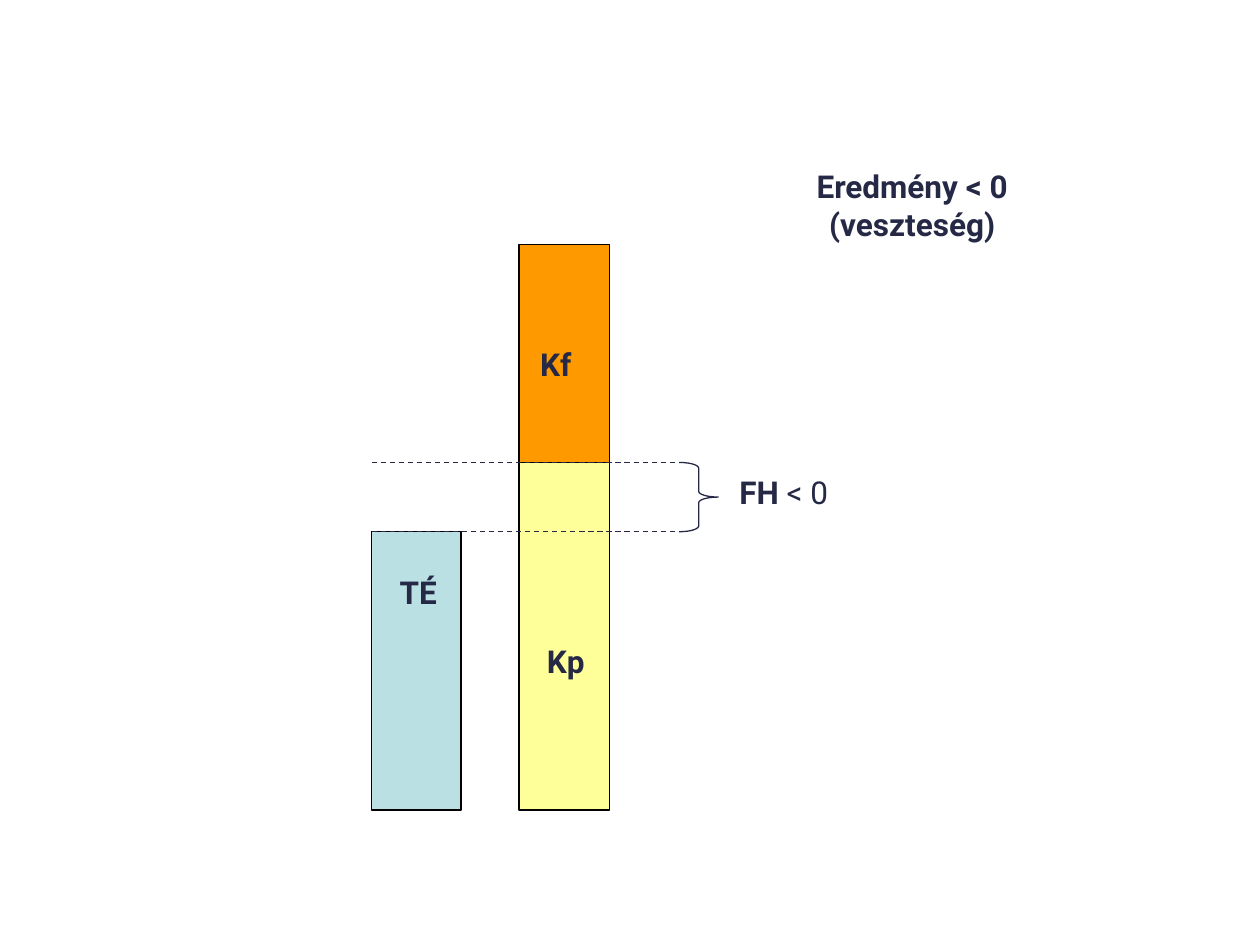
from dataclasses import dataclass

from lxml.etree import SubElement
from pptx import Presentation
from pptx.dml.color import RGBColor as Rgb
from pptx.enum.dml import MSO_LINE as Dash
from pptx.enum.shapes import MSO_CONNECTOR as Conn, MSO_SHAPE as Shape
from pptx.enum.text import MSO_ANCHOR as Anchor, PP_ALIGN as Align
from pptx.oxml.ns import qn
from pptx.util import Inches, Pt


@dataclass(frozen=True)
class Theme:
    font: str = "Roboto"
    size: float = 18
    line: float = 0.75
    ink: str = "252946"
    edge: str = "000000"
    sales: str = "BBE0E3"
    direct: str = "FFFF99"
    fixed: str = "FF9900"


THEME = Theme()

# Shared levels of the diagram, in inches
BASE = 6.43
COST_TOP, COST_MID, SALES_TOP = 1.94, 3.67, 4.22
SALES_X, COST_X, BRACE_X = 2.95, 4.12, 5.39
LABEL_W, LABEL_H = 1.18, 0.63


def set_line(line, color):
    line.color.rgb = Rgb.from_string(color)
    line.width = Pt(THEME.line)


def add_bar(slide, left, top, width, bottom, fill):
    bar = slide.shapes.add_shape(
        Shape.RECTANGLE, Inches(left), Inches(top),
        Inches(width), Inches(bottom - top))
    bar.shadow.inherit = False
    bar.fill.solid()
    bar.fill.fore_color.rgb = Rgb.from_string(fill)
    set_line(bar.line, THEME.edge)


def add_guide(slide, level):
    guide = slide.shapes.add_connector(
        Conn.STRAIGHT, Inches(SALES_X), Inches(level),
        Inches(BRACE_X), Inches(level))
    set_line(guide.line, THEME.ink)
    guide.line.dash_style = Dash.DASH
    SubElement(guide._element.spPr, qn("a:effectLst"))


def add_brace(slide, top, bottom):
    brace = slide.shapes.add_shape(
        Shape.RIGHT_BRACE, Inches(BRACE_X), Inches(top),
        Inches(0.31), Inches(bottom - top))
    brace.shadow.inherit = False
    brace.fill.background()
    set_line(brace.line, THEME.ink)
    brace.adjustments[0] = 0.146
    brace.adjustments[1] = 0.5


def add_label(slide, left, top, text, tail="", width=LABEL_W):
    """Add a centred bold label, with an optional plain tail."""
    box = slide.shapes.add_textbox(
        Inches(left), Inches(top), Inches(width), Inches(LABEL_H))
    frame = box.text_frame
    frame.text = text
    frame.word_wrap = False
    frame.vertical_anchor = Anchor.MIDDLE
    if tail:
        frame.paragraphs[-1].add_run().text = tail
    for para in frame.paragraphs:
        para.alignment = Align.CENTER
        for run in para.runs:
            run.font.name = THEME.font
            run.font.size = Pt(THEME.size)
            run.font.color.rgb = Rgb.from_string(THEME.ink)
            run.font.bold = run.text != tail


def main():
    deck = Presentation()
    deck.slide_width, deck.slide_height = Inches(10), Inches(7.5)
    slide = deck.slides.add_slide(deck.slide_layouts[6])

    # Sales bar beside the stacked cost bar
    add_bar(slide, SALES_X, SALES_TOP, 0.71, BASE, THEME.sales)
    add_bar(slide, COST_X, COST_MID, 0.72, BASE, THEME.direct)
    add_bar(slide, COST_X, COST_TOP, 0.72, COST_MID, THEME.fixed)

    # Gap between sales and direct cost
    for level in (COST_MID, SALES_TOP):
        add_guide(slide, level)
    add_brace(slide, COST_MID, SALES_TOP)

    # Labels
    add_label(slide, 3.82, 2.57, "Kf")
    add_label(slide, 2.73, 4.38, "TÉ")
    add_label(slide, 3.9, 4.93, "Kp")
    add_label(slide, 5.63, 3.59, "FH ", "< 0")
    add_label(slide, 6.34, 1.31, "Eredmény < 0\n(veszteség)", width=1.8)

    deck.save("out.pptx")


if __name__ == "__main__":
    main()
